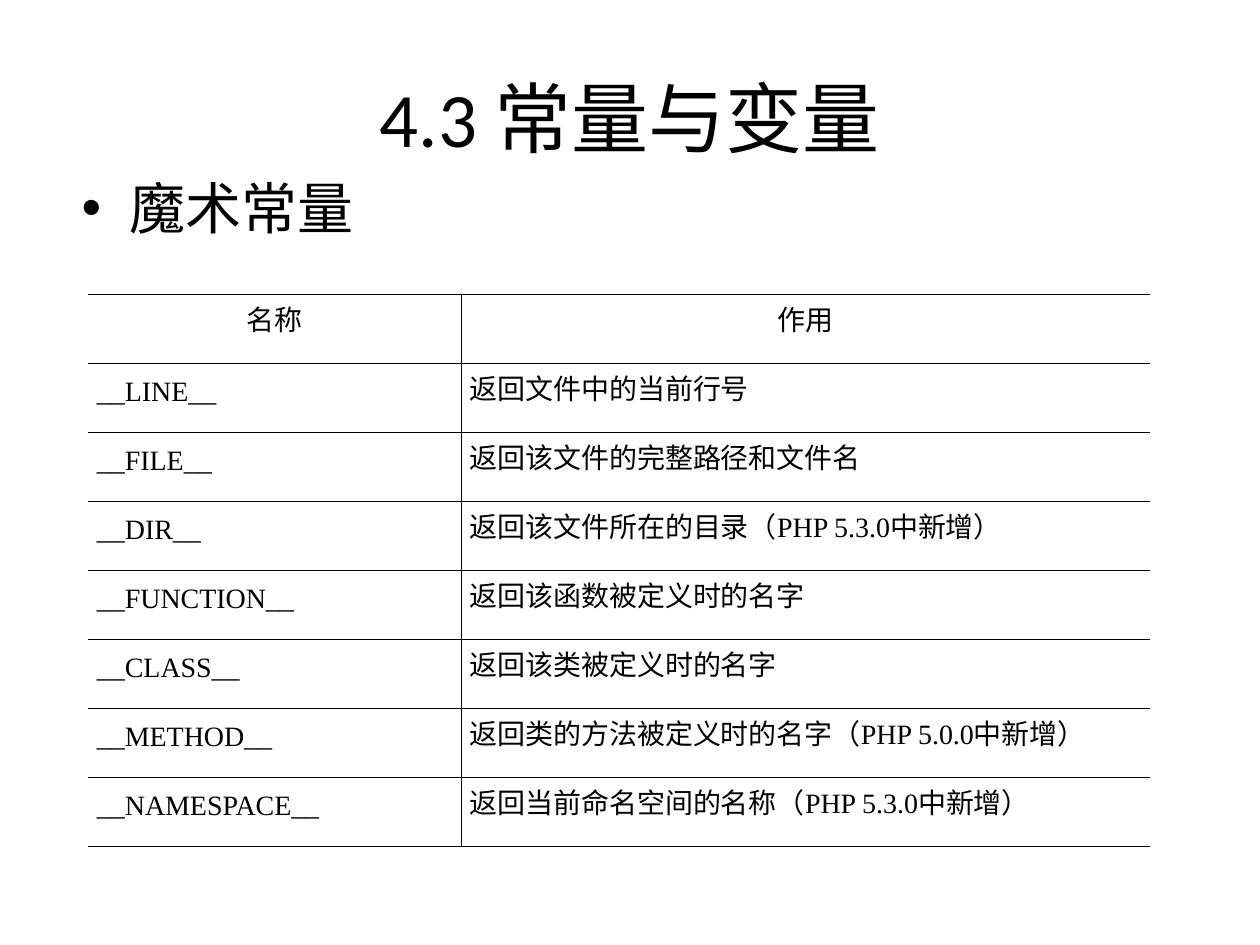
from lxml.etree import SubElement
from pptx import Presentation
from pptx.dml.color import RGBColor
from pptx.enum.text import MSO_ANCHOR as Anchor, PP_ALIGN as Align
from pptx.oxml import parse_xml
from pptx.oxml.ns import nsdecls, qn
from pptx.util import Inches, Pt

TITLE = "4.3 常量与变量"
TOPIC = "魔术常量"
HEADER = ("名称", "作用")
CONSTANTS = [
    ("__LINE__", "返回文件中的当前行号"),
    ("__FILE__", "返回该文件的完整路径和文件名"),
    ("__DIR__", "返回该文件所在的目录（PHP 5.3.0中新增）"),
    ("__FUNCTION__", "返回该函数被定义时的名字"),
    ("__CLASS__", "返回该类被定义时的名字"),
    ("__METHOD__", "返回类的方法被定义时的名字（PHP 5.0.0中新增）"),
    ("__NAMESPACE__", "返回当前命名空间的名称（PHP 5.3.0中新增）"),
]
COLORS = {"ink": "000000"}
COLUMN_WIDTHS = (2.96, 5.47)
ROW_HEIGHT = 0.547
OUTER_LINE, INNER_LINE = 0.75, 0.45


def format_runs(paragraph, size, font_name):
    for run in paragraph.runs:
        run.font.size = Pt(size)
        run.font.name = font_name
        run.font.color.rgb = RGBColor.from_string(COLORS["ink"])


def set_borders(cell, widths):
    """Draw left, right, top and bottom borders; a width of 0 hides one."""
    properties = cell._tc.get_or_add_tcPr()
    for index, (side, width) in enumerate(zip("LRTB", widths)):
        paint = (f'<a:solidFill><a:srgbClr val="{COLORS["ink"]}"/></a:solidFill>'
                 if width else "<a:noFill/>")
        border = parse_xml(f'<a:ln{side} {nsdecls("a")} w="{Pt(width)}">{paint}</a:ln{side}>')
        properties.insert(index, border)


def add_topic(slide):
    box = slide.shapes.add_textbox(Inches(0.55), Inches(1.33), Inches(9), Inches(1.09))
    box.text_frame.word_wrap = True
    paragraph = box.text_frame.paragraphs[0]
    paragraph.text = TOPIC
    paragraph.space_before = Pt(8)
    format_runs(paragraph, 32, "Arial")
    properties = paragraph._p.get_or_add_pPr()
    properties.set("marL", str(Inches(0.38)))
    properties.set("indent", str(-Inches(0.38)))
    SubElement(properties, qn("a:buFont"), typeface="Arial")
    SubElement(properties, qn("a:buChar"), char="•")


def add_constants_table(slide):
    rows = [HEADER, *CONSTANTS]
    last_row, last_column = len(rows) - 1, len(HEADER) - 1
    table = slide.shapes.add_table(
        len(rows), len(HEADER), Inches(0.7), Inches(2.34),
        Inches(sum(COLUMN_WIDTHS)), Inches(ROW_HEIGHT * len(rows))).table
    table.first_row = table.horz_banding = False
    for column, width in zip(table.columns, COLUMN_WIDTHS):
        column.width = Inches(width)
    for r, row in enumerate(rows):
        table.rows[r].height = Inches(ROW_HEIGHT)
        for c, wording in enumerate(row):
            cell = table.cell(r, c)
            cell.fill.background()
            cell.vertical_anchor = Anchor.MIDDLE
            cell.margin_left = cell.margin_right = Inches(0.07)
            cell.margin_top = cell.margin_bottom = Inches(0.05)
            paragraph = cell.text_frame.paragraphs[0]
            paragraph.text = wording
            paragraph.alignment = Align.JUSTIFY if r else Align.CENTER
            paragraph.line_spacing = Pt(11)
            format_runs(paragraph, 16, "Times New Roman")
            set_borders(cell, (
                INNER_LINE if c > 0 else 0,
                INNER_LINE if c < last_column else 0,
                INNER_LINE if r > 0 else OUTER_LINE,
                INNER_LINE if r < last_row else OUTER_LINE))


def main():
    deck = Presentation()
    deck.slide_width, deck.slide_height = Inches(10), Inches(7.5)
    slide = deck.slides.add_slide(deck.slide_layouts[5])

    title = slide.shapes.title
    title.left, title.top = Inches(0.5), Inches(0.3)
    title.width, title.height = Inches(9), Inches(1.25)
    title.text_frame.text = TITLE
    title.text_frame.vertical_anchor = Anchor.MIDDLE
    heading = title.text_frame.paragraphs[0]
    heading.alignment = Align.CENTER
    format_runs(heading, 44, "Calibri")

    add_topic(slide)
    add_constants_table(slide)
    deck.save("out.pptx")


if __name__ == "__main__":
    main()
